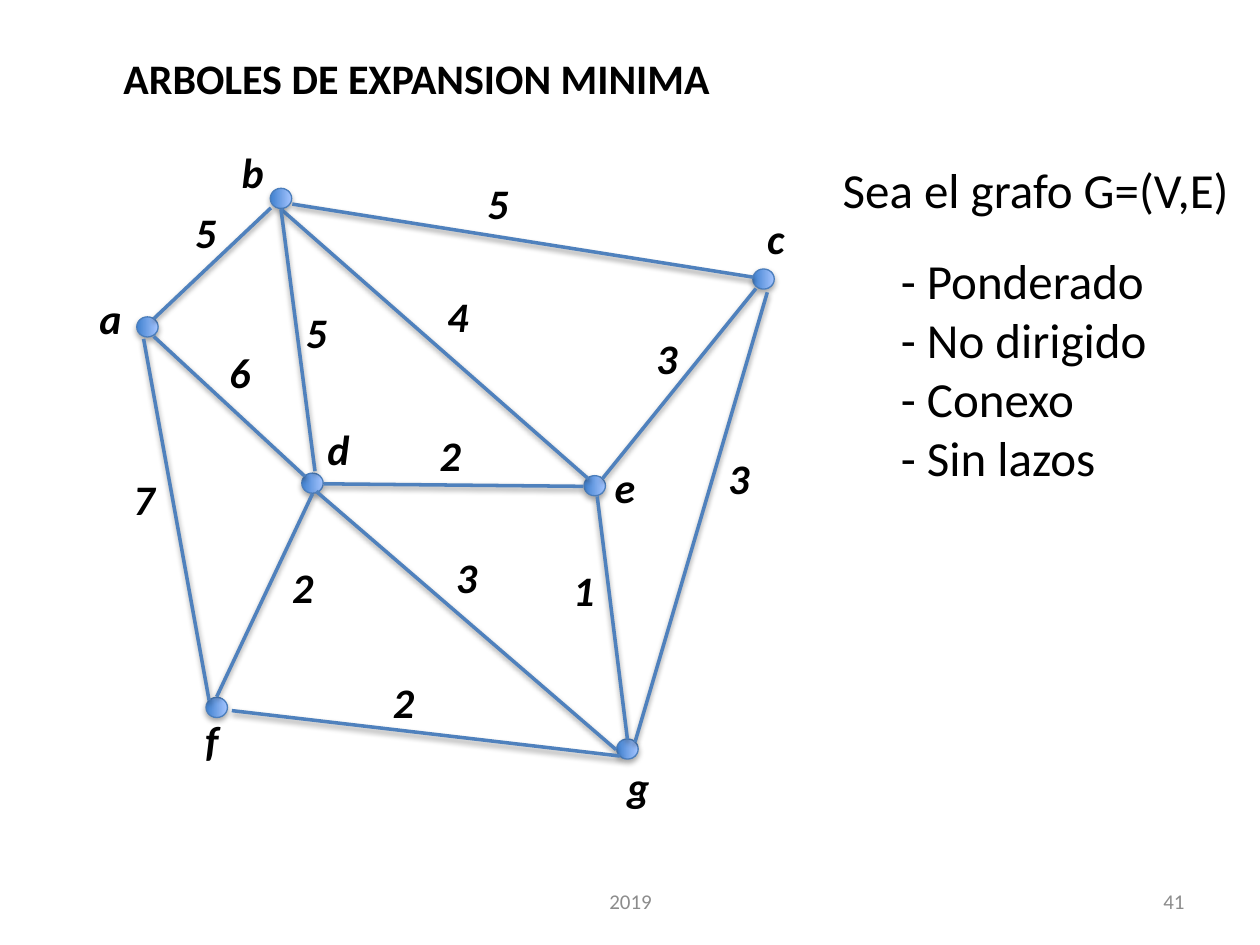
import pptx
import pptx.dml.color
import pptx.enum.shapes
import pptx.enum.text
import pptx.oxml
import pptx.oxml.ns
import pptx.util
from pptx.util import Inches

COLORS = {
    "text": "000000",
    "footer": "8C8C8C",
    "edge": "4F81BD",
    "outline": "4B7EBC",
    "node_dark": "3F80CE",
    "node_light": "A4C4FF",
}
FONT = "Calibri"
NODE_SIZE = (0.16, 0.17)
LABEL_SIZE = (0.67, 0.5)

VERTICES = {
    "a": ((1.09, 2.51), (0.69, 2.27)),
    "b": ((2.15, 1.49), (1.82, 1.11)),
    "c": ((5.98, 2.13), (5.99, 1.64)),
    "d": ((2.4, 3.75), (2.5, 3.31)),
    "e": ((4.64, 3.77), (4.78, 3.61)),
    "f": ((1.64, 5.53), (1.53, 5.62)),
    "g": ((4.9, 5.86), (4.88, 5.99)),
}
EDGES = [
    ((2.51, 3.9), (4.89, 5.95), "3", (3.52, 4.33)),
    ((2.23, 1.66), (4.67, 3.8), "4", (3.45, 2.26)),
    ((2.32, 1.62), (5.98, 2.2), "5", (3.77, 1.36)),
    ((1.22, 2.67), (2.42, 3.78), "6", (1.72, 2.7)),
    ((4.78, 3.8), (6, 2.29), "3", (5.11, 2.59)),
    ((1.22, 2.53), (2.15, 1.65), "5", (1.45, 1.59)),
    ((2.5, 3.74), (2.23, 1.66), "5", (2.33, 2.38)),
    ((4.74, 3.94), (4.98, 5.87), "1", (4.45, 4.43)),
    ((6.09, 2.32), (5.04, 5.89), "3", (5.68, 3.54)),
    ((2.57, 3.84), (4.63, 3.86), "2", (3.39, 3.36)),
    ((1.84, 5.64), (4.92, 6), "2", (3.02, 5.32)),
    ((2.48, 3.92), (1.72, 5.53), "2", (2.22, 4.41)),
    ((1.14, 2.69), (1.66, 5.56), "7", (0.96, 3.71)),
]
PROPERTIES = ["- Ponderado", "- No dirigido", "- Conexo", "- Sin lazos"]


def rgb(name):
    return pptx.dml.color.RGBColor.from_string(COLORS[name])


def place(shape, left, top, width, height):
    shape.left, shape.top = Inches(left), Inches(top)
    shape.width, shape.height = Inches(width), Inches(height)


def write_text(shape, text, size=24, bold=False, italic=False, color="text",
               align="LEFT", anchor="TOP"):
    frame = shape.text_frame
    frame.text = text
    frame.word_wrap = True
    frame.auto_size = pptx.enum.text.MSO_AUTO_SIZE.NONE
    frame.vertical_anchor = getattr(pptx.enum.text.MSO_ANCHOR, anchor)
    for paragraph in frame.paragraphs:
        paragraph.alignment = getattr(pptx.enum.text.PP_ALIGN, align)
        paragraph.space_before = pptx.util.Pt(0)
        font = paragraph.runs[0].font
        font.name = FONT
        font.size = pptx.util.Pt(size)
        font.bold = bold
        font.italic = italic
        font.color.rgb = rgb(color)


def add_text(slide, text, left, top, width, height, **text_format):
    shape = slide.shapes.add_textbox(
        Inches(left), Inches(top), Inches(width), Inches(height))
    write_text(shape, text, **text_format)


def add_label(slide, text, position):
    add_text(slide, text, *position, *LABEL_SIZE, bold=True, italic=True)


def add_shadow(shape, distance, opacity):
    effects = pptx.oxml.parse_xml(
        f'<a:effectLst {pptx.oxml.ns.nsdecls("a")}>'
        f'<a:outerShdw blurRad="40000" dist="{distance}" dir="5400000" rotWithShape="0">'
        f'<a:srgbClr val="000000"><a:alpha val="{opacity * 1000}"/></a:srgbClr>'
        '</a:outerShdw></a:effectLst>')
    shape._element.spPr.append(effects)


def add_node(slide, position):
    node = slide.shapes.add_shape(pptx.enum.shapes.MSO_SHAPE.OVAL, 0, 0, 0, 0)
    place(node, *position, *NODE_SIZE)
    node.rotation = 90
    node.fill.gradient()
    node.fill.gradient_angle = 90
    for stop, color in zip(node.fill.gradient_stops, ("node_dark", "node_light")):
        stop.color.rgb = rgb(color)
    node.line.color.rgb = rgb("outline")
    node.line.width = pptx.util.Pt(0.75)
    add_shadow(node, distance=23000, opacity=35)


def add_edge(slide, start, end):
    edge = slide.shapes.add_connector(
        pptx.enum.shapes.MSO_CONNECTOR.STRAIGHT,
        *(Inches(value) for value in start + end))
    edge.line.color.rgb = rgb("edge")
    edge.line.width = pptx.util.Pt(2)
    add_shadow(edge, distance=20000, opacity=38)


def add_graph(slide):
    for position, _ in VERTICES.values():
        add_node(slide, position)
    for start, end, _, _ in EDGES:
        add_edge(slide, start, end)
    for name, (_, position) in VERTICES.items():
        add_label(slide, name, position)
    for _, _, weight, position in EDGES:
        add_label(slide, weight, position)


def fill_list(body, items):
    place(body, 7.05, 1.94, 2.41, 1.99)
    write_text(body, "\n".join(items), size=28)
    for paragraph in body.text_frame.paragraphs:
        properties = paragraph._p.get_or_add_pPr()
        properties.set("marL", "0")
        properties.set("indent", "0")
        properties.append(pptx.oxml.parse_xml(
            f'<a:buNone {pptx.oxml.ns.nsdecls("a")}/>'))


def main():
    presentation = pptx.Presentation()
    presentation.slide_width = Inches(10)
    presentation.slide_height = Inches(7.5)
    slide = presentation.slides.add_slide(presentation.slide_layouts[1])

    title = slide.shapes.title
    place(title, 0.88, 0.37, 8.18, 0.5)
    write_text(title, "ARBOLES DE EXPANSION MINIMA", bold=True)

    add_graph(slide)
    add_text(slide, "Sea el grafo G=(V,E)", 6.59, 1.22, 3.53, 0.57, size=28)
    fill_list(slide.placeholders[1], PROPERTIES)

    footer = {"size": 12, "color": "footer", "anchor": "MIDDLE"}
    add_text(slide, "2019", 3.42, 6.95, 3.17, 0.4, align="CENTER", **footer)
    add_text(slide, "41", 7.17, 6.95, 2.33, 0.4, align="RIGHT", **footer)

    presentation.save("out.pptx")


if __name__ == "__main__":
    main()
